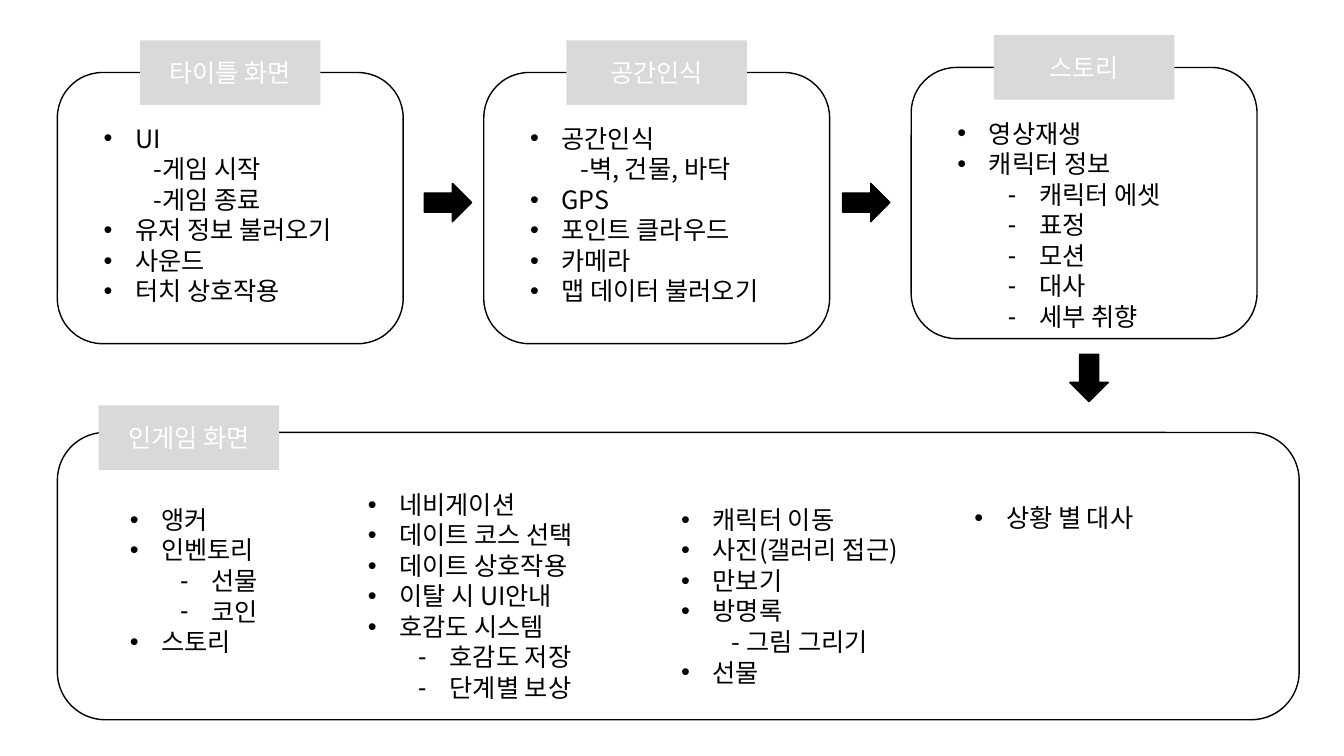
from pptx import Presentation
from pptx.dml.color import RGBColor
from pptx.enum import shapes, text
from pptx.oxml import ns
from pptx.util import Pt
from lxml import etree

FONT = "Noto Sans CJK KR"
BLACK, WHITE, GRAY = "000000", "FFFFFF", "D9D9D9"
PITCH = 21.8
KIND = shapes.MSO_SHAPE
MARKS = {
    "dot": (0, 22.5, -22.5, "•"),
    "dash": (1, 58.5, -22.5, "-"),
    "sub": (1, 36, 0, None),
}


def color(code):
    return RGBColor.from_string(code)


def assign(item, values):
    for name, value in values.items():
        setattr(item, name, value)


def write(para, words, ink):
    run = para.add_run()
    run.text = words
    assign(run.font, {"name": FONT, "size": Pt(18)})
    run.font.color.rgb = color(ink)
    props = run.font._element
    etree.SubElement(props, ns.qn("a:ea"), typeface=FONT)


def mark(para, kind):
    level, left, hang, sign = MARKS[kind]
    assign(para, {"level": level, "line_spacing": Pt(PITCH)})
    props = para._p.get_or_add_pPr()
    props.set("marL", str(Pt(left)))
    props.set("indent", str(Pt(hang)))
    if sign:
        etree.SubElement(props, ns.qn("a:buFont"), typeface="Arial")
        etree.SubElement(props, ns.qn("a:buChar"), char=sign)
    else:
        etree.SubElement(props, ns.qn("a:buNone"))


def block(slide, kind, box, fill=None, line=None):
    shape = slide.shapes.add_shape(kind, *map(Pt, box))
    shape.shadow.inherit = False
    if fill:
        shape.fill.solid()
        shape.fill.fore_color.rgb = color(fill)
    else:
        shape.fill.background()
    if line:
        shape.line.color.rgb = color(line)
        shape.line.width = Pt(1)
    else:
        shape.line.fill.background()
    return shape


def label(slide, left, top, words):
    tag = block(slide, KIND.RECTANGLE, (left, top, 128.9, 46.1), GRAY)
    tag.text_frame.vertical_anchor = text.MSO_ANCHOR.MIDDLE
    para = tag.text_frame.paragraphs[0]
    para.alignment = text.PP_ALIGN.CENTER
    write(para, words, WHITE)


def listing(slide, left, top, items):
    box = (left, top, 202.3, PITCH * len(items) + 7.2)
    frame = slide.shapes.add_textbox(*map(Pt, box)).text_frame
    assign(frame, {
        "word_wrap": True,
        "auto_size": text.MSO_AUTO_SIZE.SHAPE_TO_FIT_TEXT,
        "margin_top": Pt(5),
        "margin_bottom": Pt(2.2),
    })
    for index, (kind, words) in enumerate(items):
        para = frame.add_paragraph() if index else frame.paragraphs[0]
        mark(para, kind)
        write(para, words, BLACK)


def card(slide, left, top, title, items):
    block(slide, KIND.ROUNDED_RECTANGLE, (left, top, 247, 193.7), line=BLACK)
    label(slide, left + 59, top - 23, title)
    listing(slide, left + 25.9, top + 31, items)


def panel(slide, left, top, title, columns):
    block(slide, KIND.ROUNDED_RECTANGLE, (left, top, 887, 205.2), line=BLACK)
    label(slide, left + 29.5, top - 19.4, title)
    for right, down, items in columns:
        listing(slide, left + right, top + down, items)


def arrow(slide, left, top, turn=0):
    box = (left, top, 33.8, 27.4)
    block(slide, KIND.RIGHT_ARROW, box, BLACK, BLACK).rotation = turn


CARDS = [
    (41, 51.8, "타이틀 화면", [
        ("dot", "UI"), ("sub", "-게임 시작"), ("sub", "-게임 종료"),
        ("dot", "유저 정보 불러오기"), ("dot", "사운드"),
        ("dot", "터치 상호작용"),
    ]),
    (345.6, 51.8, "공간인식", [
        ("dot", "공간인식"), ("sub", "-벽, 건물, 바닥"), ("dot", "GPS"),
        ("dot", "포인트 클라우드"), ("dot", "카메라"),
        ("dot", "맵 데이터 불러오기"),
    ]),
    (650.9, 48.2, "스토리", [
        ("dot", "영상재생"), ("dot", "캐릭터 정보"), ("dash", "캐릭터 에셋"),
        ("dash", "표정"), ("dash", "모션"), ("dash", "대사"),
        ("dash", "세부 취향"),
    ]),
]
COLUMNS = [
    (44.6, 46.1, [
        ("dot", "앵커"), ("dot", "인벤토리"), ("dash", "선물"),
        ("dash", "코인"), ("dot", "스토리"),
    ]),
    (214.6, 35.3, [
        ("dot", "네비게이션"), ("dot", "데이트 코스 선택"),
        ("dot", "데이트 상호작용"), ("dot", "이탈 시 UI안내"),
        ("dot", "호감도 시스템"), ("dash", "호감도 저장"),
        ("dash", "단계별 보상"),
    ]),
    (438.5, 46.1, [
        ("dot", "캐릭터 이동"), ("dot", "사진(갤러리 접근)"),
        ("dot", "만보기"), ("dot", "방명록"), ("sub", "- 그림 그리기"),
        ("dot", "선물"),
    ]),
    (648, 44.6, [("dot", "상황 별 대사")]),
]
ARROWS = [(303.1, 131), (601.9, 131), (761, 256.3, 90)]


def main():
    deck = Presentation()
    assign(deck, {"slide_width": Pt(960), "slide_height": Pt(540)})
    slide = deck.slides.add_slide(deck.slide_layouts[6])
    for entry in CARDS:
        card(slide, *entry)
    for entry in ARROWS:
        arrow(slide, *entry)
    panel(slide, 41, 308.9, "인게임 화면", COLUMNS)
    deck.save("out.pptx")


if __name__ == "__main__":
    main()
